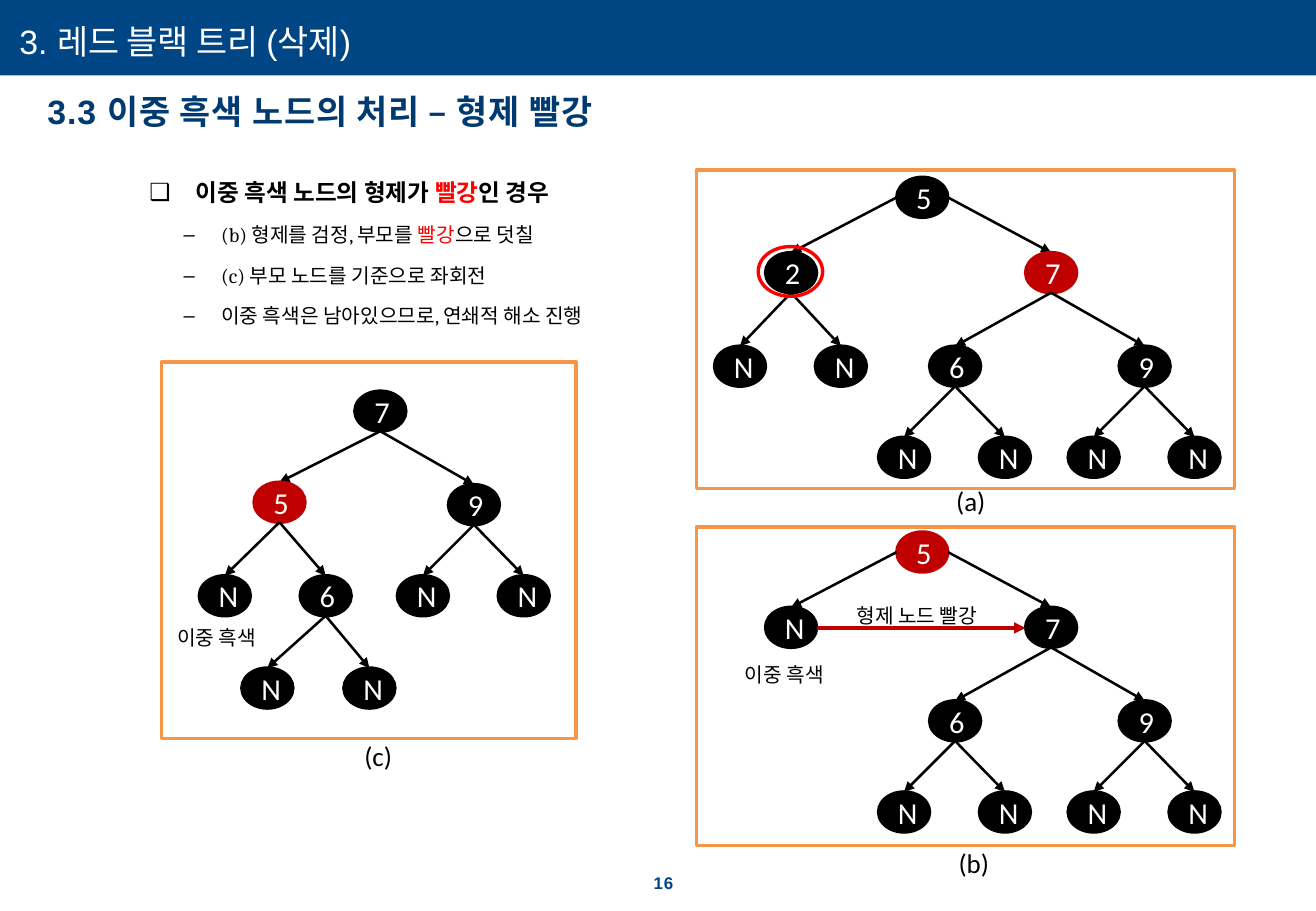
from dataclasses import dataclass

import pptx
import pptx.dml.color
import pptx.enum.shapes
import pptx.enum.text
import pptx.oxml
import pptx.oxml.ns
import pptx.util
from pptx.util import Inches

BLACK, WHITE, RED, BRIGHT_RED = "000000", "FFFFFF", "C00000", "FF0000"
BAND_BLUE, HEADING_BLUE, ORANGE = "004685", "003A70", "F79646"
NODE_WIDTH, NODE_HEIGHT = 0.42, 0.33


@dataclass
class Node:
    """Tree node: x is its centre, y its top, in inches within the panel."""
    label: str
    x: float
    y: float
    color: str = BLACK
    children: tuple = ()
    side_arms: bool = False


def rgb(color):
    return pptx.dml.color.RGBColor.from_string(color)


def add_xml(parent, tag, **attributes):
    element = pptx.oxml.ns.qn(tag)
    child = parent.makeelement(element, attributes)
    parent.append(child)
    return child


def set_font(paragraph, size, name, color=BLACK, bold=False):
    font = paragraph.font
    font.size, font.name, font.bold = pptx.util.Pt(size), name, bold
    font.color.rgb = rgb(color)


def move(shape, left, top, width, height):
    shape.left, shape.top = Inches(left), Inches(top)
    shape.width, shape.height = Inches(width), Inches(height)


def clear_margins(frame):
    frame.margin_left = frame.margin_top = 0
    frame.margin_right = frame.margin_bottom = 0


def add_shape(slide, kind, box, fill=None, line=None):
    shape = slide.shapes.add_shape(kind, *map(Inches, box))
    shape.shadow.inherit = False
    if fill:
        shape.fill.solid()
        shape.fill.fore_color.rgb = rgb(fill)
    else:
        shape.fill.background()
    if line:
        shape.line.color.rgb = rgb(line)
        shape.line.width = pptx.util.Pt(2)
    else:
        shape.line.fill.background()
    return shape


def add_arrow(slide, start, end, color=BLACK, width=1.5):
    arrow = slide.shapes.add_connector(
        pptx.enum.shapes.MSO_CONNECTOR.STRAIGHT, *map(Inches, start + end))
    arrow.line.color.rgb = rgb(color)
    arrow.line.width = pptx.util.Pt(width)
    add_xml(arrow.line._get_or_add_ln(), "a:tailEnd", type="triangle")
    add_xml(arrow._element.spPr, "a:effectLst")


def add_label(slide, text, box, size):
    label = slide.shapes.add_textbox(*map(Inches, box))
    frame = label.text_frame
    frame.text = text
    frame.word_wrap = False
    frame.auto_size = pptx.enum.text.MSO_AUTO_SIZE.SHAPE_TO_FIT_TEXT
    set_font(frame.paragraphs[0], size, "Calibri")


def add_plain_text(slide, text, box, size, color):
    """Bold, slightly spaced text without margins."""
    frame = slide.shapes.add_textbox(*map(Inches, box)).text_frame
    frame.text = text
    frame.word_wrap = True
    clear_margins(frame)
    paragraph = frame.paragraphs[0]
    set_font(paragraph, size, "Arial", color, bold=True)
    paragraph.font._element.set("spc", "50")
    return frame


def add_header(slide, left, top, width, height):
    band = add_shape(slide, pptx.enum.shapes.MSO_SHAPE.RECTANGLE,
                     (left, top, width, height), BAND_BLUE)
    slide.shapes._spTree.insert(2, band._element)  # behind the title
    title = slide.shapes.title
    move(title, left + 0.16, top + 0.17, 5.37, 0.34)
    frame = title.text_frame
    frame.text = "3. 레드 블랙 트리 (삭제)"
    frame.vertical_anchor = pptx.enum.text.MSO_ANCHOR.TOP
    frame.auto_size = pptx.enum.text.MSO_AUTO_SIZE.NONE
    clear_margins(frame)
    frame.paragraphs[0].alignment = pptx.enum.text.PP_ALIGN.LEFT
    set_font(frame.paragraphs[0], 20, "Arial", WHITE)
    add_plain_text(slide, "3.3 이중 흑색 노드의 처리 – 형제 빨강",
                   (left + 0.39, top + 0.75, 6.61, 0.34), 20, HEADING_BLUE)


def add_points(slide, left, top, width, height):
    body = slide.placeholders[1]
    move(body, left, top, width, height)
    frame = body.text_frame
    frame.auto_size = pptx.enum.text.MSO_AUTO_SIZE.NONE
    points = [
        (0, ("이중 흑색 노드의 형제가 ", "빨강", "인 경우")),
        (1, ("(b) 형제를 검정, 부모를 ", "빨강", "으로 덧칠")),
        (1, ("(c) 부모 노드를 기준으로 좌회전",)),
        (1, ("이중 흑색은 남아있으므로, 연쇄적 해소 진행",)),
    ]
    # bullet, left margin, hanging indent, text size
    levels = [("❑", 0.38, 0.38, 14), ("–", 0.59, 0.31, 12)]
    for index, (level, parts) in enumerate(points):
        paragraph = frame.add_paragraph() if index else frame.paragraphs[0]
        bullet, margin, hanging, size = levels[level]
        properties = paragraph._p.get_or_add_pPr()
        properties.set("marL", str(Inches(margin)))
        properties.set("indent", str(-Inches(hanging)))
        add_xml(properties, "a:buChar", char=bullet)
        paragraph.level = level
        paragraph.line_spacing = 1.5
        set_font(paragraph, size, "Cambria", bold=level == 0)
        for part in parts:
            run = paragraph.add_run()
            run.text = part
            if part == "빨강":
                run.font.color.rgb = rgb(BRIGHT_RED)


def add_tree(slide, left, top, node):
    x, y = left + node.x, top + node.y
    shape = add_shape(slide, pptx.enum.shapes.MSO_SHAPE.OVAL,
                      (x - NODE_WIDTH / 2, y, NODE_WIDTH, NODE_HEIGHT),
                      node.color, node.color)
    shape.text_frame.text = node.label
    set_font(shape.text_frame.paragraphs[0], 18, "Calibri", WHITE)
    for child in node.children:
        start = (x, y + NODE_HEIGHT)
        if node.side_arms:
            side = 1 if child.x > node.x else -1
            start = (x + side * NODE_WIDTH / 2, y + NODE_HEIGHT / 2)
        add_arrow(slide, start, (left + child.x, top + child.y))
        add_tree(slide, left, top, child)


def add_panel(slide, box, tree, caption, caption_at, tree_shift=0):
    left, top = box[:2]
    add_tree(slide, left, top + tree_shift, tree)
    add_shape(slide, pptx.enum.shapes.MSO_SHAPE.RECTANGLE, box, line=ORANGE)
    add_label(slide, caption,
              (left + caption_at[0], top + caption_at[1], 0.45, 0.37), 16)


def with_leaves(label, x, y, drop, color=BLACK):
    leaves = tuple(Node("N", x + gap, y + drop) for gap in (-0.42, 0.41))
    return Node(label, x, y, color, leaves)


def sibling_tree(root_color, left_child, sibling_color):
    sibling = Node("7", 2.92, 0.68, sibling_color,
                   (with_leaves("6", 2.13, 1.45, 0.75),
                    with_leaves("9", 3.69, 1.45, 0.75)))
    return Node("5", 1.86, 0.06, root_color, (left_child, sibling), True)


def add_panel_a(slide, left, top, width, height):
    tree = sibling_tree(BLACK, with_leaves("2", 0.78, 0.68, 0.77), RED)
    add_panel(slide, (left, top, width, height), tree, "(a)", (2.04, 2.54))
    add_shape(slide, pptx.enum.shapes.MSO_SHAPE.OVAL,
              (left + 0.51, top + 0.63, 0.53, 0.41), line=BRIGHT_RED)


def add_panel_b(slide, left, top, width, height):
    tree = sibling_tree(RED, Node("N", 0.78, 0.68), BLACK)
    add_panel(slide, (left, top, width, height), tree, "(b)", (2.06, 2.58), -0.02)
    add_arrow(slide, (left + 0.99, top + 0.83), (left + 2.71, top + 0.83), RED, 2.25)
    add_label(slide, "형제 노드 빨강", (left + 1.22, top + 0.58, 1.29, 0.3), 12)
    add_label(slide, "이중 흑색", (left + 0.3, top + 1.06, 0.91, 0.3), 12)


def add_panel_c(slide, left, top, width, height):
    six = Node("6", 1.35, 1.76, BLACK,
               (Node("N", 0.87, 2.52), Node("N", 1.71, 2.52)))
    five = Node("5", 0.97, 0.99, RED, (Node("N", 0.52, 1.76), six))
    tree = Node("7", 1.8, 0.24, BLACK,
                (five, with_leaves("9", 2.57, 1.01, 0.75)))
    add_panel(slide, (left, top, width, height), tree, "(c)", (1.57, 3.06))
    add_label(slide, "이중 흑색", (left + 0.03, top + 2.12, 0.91, 0.3), 12)


def add_page_number(slide, left, top, width, height):
    frame = add_plain_text(slide, "16", (left, top, width, height), 10, BAND_BLUE)
    frame.margin_left = Inches(0.07)
    frame.paragraphs[0].line_spacing = pptx.util.Pt(10.9)


presentation = pptx.Presentation()
presentation.slide_width, presentation.slide_height = Inches(10.83), Inches(7.5)
slide = presentation.slides.add_slide(presentation.slide_layouts[1])
add_header(slide, 0, 0, 10.83, 0.62)
add_points(slide, 1.13, 1.3, 9.12, 1.56)
add_panel_a(slide, 5.73, 1.4, 4.43, 2.62)
add_panel_b(slide, 5.73, 4.34, 4.43, 2.62)
add_panel_c(slide, 1.33, 2.98, 3.41, 3.1)
add_page_number(slide, 5.31, 7.2, 0.26, 0.15)
presentation.save("out.pptx")
